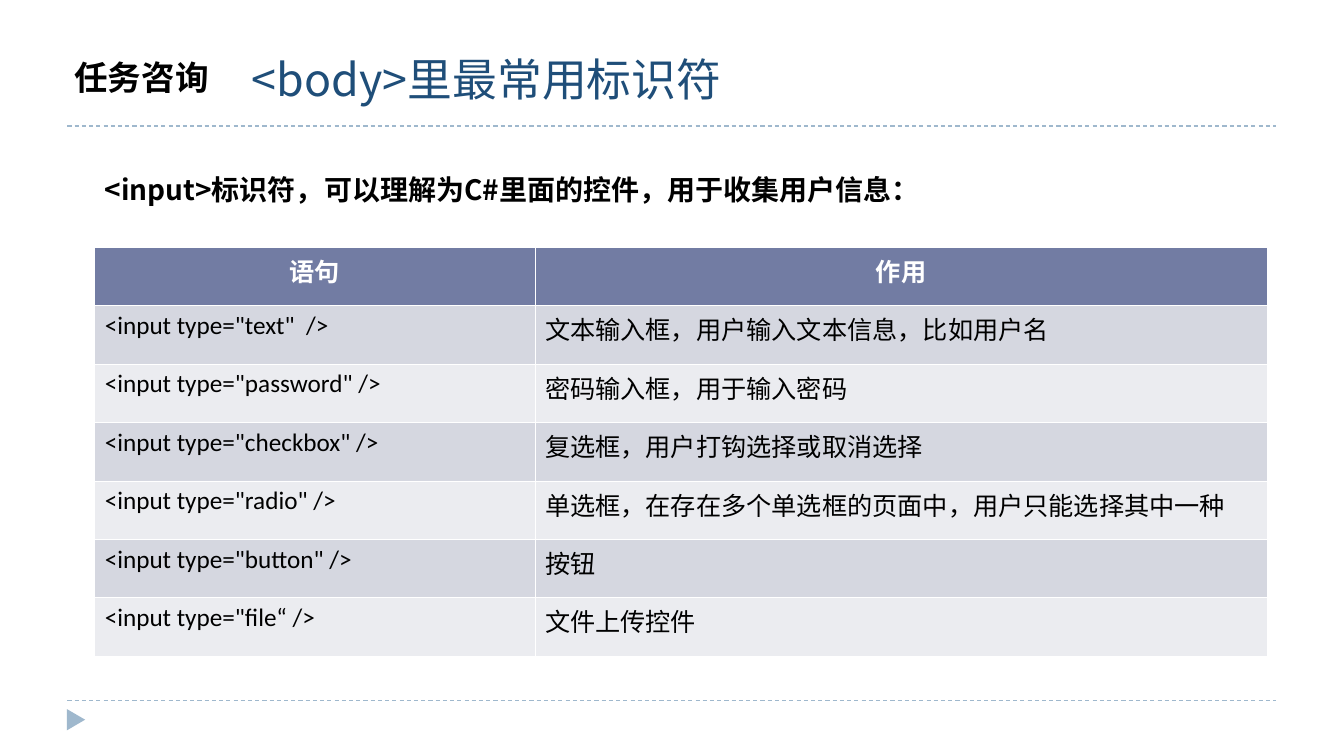
from dataclasses import dataclass

from lxml import etree
from pptx import Presentation
from pptx.dml.color import RGBColor
from pptx.enum.dml import MSO_LINE
from pptx.enum.shapes import MSO_CONNECTOR, MSO_SHAPE
from pptx.enum.text import MSO_ANCHOR, PP_ALIGN
from pptx.oxml.ns import qn
from pptx.slide import Slide
from pptx.table import _Cell
from pptx.text.text import TextFrame
from pptx.util import Inches, Pt

STRAIGHT = MSO_CONNECTOR.STRAIGHT
TRIANGLE = MSO_SHAPE.ISOSCELES_TRIANGLE
DASH = MSO_LINE.DASH
TOP = MSO_ANCHOR.TOP
LEFT, CENTER = PP_ALIGN.LEFT, PP_ALIGN.CENTER
NOTO_SC, NOTO_JP, CALIBRI = "Noto Sans CJK SC", "Noto Sans CJK JP", "Calibri"
BLACK, WHITE, NAVY, PALE_BLUE = "000000", "FFFFFF", "1F4E79", "9FB8CD"
HEADER_FILL, BAND_FILLS = "727CA3", ("D5D7E0", "EBECF0")
COLUMN_WIDTHS, ROW_HEIGHT = (4.37, 7.27), 0.58
THIN_BORDER, HEADER_BORDER = 0.45, 1.47
RULE_HEIGHTS = (1.25, 6.95)

TAG_ROWS = (
    ("语句", "作用"),
    ('<input type="text"  />', "文本输入框，用户输入文本信息，比如用户名"),
    ('<input type="password" />', "密码输入框，用于输入密码"),
    ('<input type="checkbox" />', "复选框，用户打钩选择或取消选择"),
    ('<input type="radio" />', "单选框，在存在多个单选框的页面中，用户只能选择其中一种"),
    ('<input type="button" />', "按钮"),
    ('<input type="file“ />', "文件上传控件"),
)


@dataclass(frozen=True)
class TextStyle:
    size: float
    latin: str
    east_asian: str
    color: str
    bold: bool = False
    align: PP_ALIGN = LEFT
    line_spacing: float = 1.0


@dataclass(frozen=True)
class Label:
    text: str
    left: float
    top: float
    width: float
    height: float
    style: TextStyle


TITLE = Label("<body>里最常用标识符", 2.4, 0.46, 9.33, 0.74,
              TextStyle(32, NOTO_SC, NOTO_SC, NAVY))
LABELS = (
    Label("任务咨询", 0.64, 0.59, 1.74, 0.46,
          TextStyle(24, NOTO_JP, NOTO_JP, BLACK, True, line_spacing=0.8)),
    Label("<input>标识符，可以理解为C#里面的控件，用于收集用户信息：", 0.94, 1.41, 11.46, 0.77,
          TextStyle(20, NOTO_SC, NOTO_SC, BLACK, True, line_spacing=1.75)),
)
HEADER_STYLE = TextStyle(18, CALIBRI, NOTO_SC, WHITE, True, CENTER)
BODY_STYLE = TextStyle(18, CALIBRI, NOTO_SC, BLACK)


def rgb(color: str) -> RGBColor:
    """Turn a hex string into a colour."""
    return RGBColor.from_string(color)


def write_text(frame: TextFrame, text: str, style: TextStyle) -> None:
    """Fill a text frame with one styled paragraph."""
    frame.text = text
    frame.word_wrap = True
    frame.vertical_anchor = TOP
    paragraph = frame.paragraphs[0]
    paragraph.alignment = style.align
    paragraph.line_spacing = style.line_spacing
    paragraph.space_before = Pt(0)
    for run in paragraph.runs:
        run.font.size = Pt(style.size)
        run.font.bold = style.bold
        run.font.color.rgb = rgb(style.color)
        run.font.name = style.latin
        east_asian = etree.SubElement(run.font._element, qn("a:ea"))
        east_asian.set("typeface", style.east_asian)


def add_label(slide: Slide, label: Label) -> None:
    """Add a text box for a label."""
    box = slide.shapes.add_textbox(Inches(label.left), Inches(label.top),
                                   Inches(label.width), Inches(label.height))
    write_text(box.text_frame, label.text, label.style)


def place_title(slide: Slide, label: Label) -> None:
    """Move and format the title placeholder."""
    title = slide.shapes.title
    title.left, title.top = Inches(label.left), Inches(label.top)
    title.width, title.height = Inches(label.width), Inches(label.height)
    write_text(title.text_frame, label.text, label.style)


def add_rule(slide: Slide, height: float) -> None:
    """Add a dashed rule across the slide."""
    rule = slide.shapes.add_connector(STRAIGHT, Inches(0.67), Inches(height),
                                      Inches(12.67), Inches(height))
    rule.line.color.rgb = rgb(PALE_BLUE)
    rule.line.width = Pt(0.75)
    rule.line.dash_style = DASH
    etree.SubElement(rule._element.spPr, qn("a:effectLst"))


def add_page_marker(slide: Slide) -> None:
    """Add the triangle in the footer that points right."""
    marker = slide.shapes.add_shape(TRIANGLE, Inches(0.65), Inches(7.05),
                                    Inches(0.21), Inches(0.18))
    marker.rotation = 90
    marker.shadow.inherit = False
    marker.fill.solid()
    marker.fill.fore_color.rgb = rgb(PALE_BLUE)
    marker.line.fill.background()


def set_borders(cell: _Cell, top: float, bottom: float) -> None:
    """Draw white borders round a cell, with widths in points."""
    properties = cell._tc.get_or_add_tcPr()
    widths = {"a:lnL": THIN_BORDER, "a:lnR": THIN_BORDER, "a:lnT": top, "a:lnB": bottom}
    for side, width in widths.items():
        border = etree.SubElement(properties, qn(side), w=str(Pt(width)))
        solid = etree.SubElement(border, qn("a:solidFill"))
        etree.SubElement(solid, qn("a:srgbClr"), val=WHITE)


def add_tag_table(slide: Slide) -> None:
    """Add the table of input tags and their uses."""
    table = slide.shapes.add_table(
        len(TAG_ROWS), len(COLUMN_WIDTHS), Inches(0.94), Inches(2.45),
        Inches(sum(COLUMN_WIDTHS)), Inches(ROW_HEIGHT * len(TAG_ROWS))).table
    for column, width in zip(table.columns, COLUMN_WIDTHS):
        column.width = Inches(width)
    for row_index, row in enumerate(TAG_ROWS):
        is_header = row_index == 0
        fill = HEADER_FILL if is_header else BAND_FILLS[(row_index - 1) % 2]
        for column_index, text in enumerate(row):
            cell = table.cell(row_index, column_index)
            write_text(cell.text_frame, text, HEADER_STYLE if is_header else BODY_STYLE)
            set_borders(cell, HEADER_BORDER if row_index == 1 else THIN_BORDER,
                        HEADER_BORDER if is_header else THIN_BORDER)
            cell.fill.solid()
            cell.fill.fore_color.rgb = rgb(fill)


def main() -> None:
    """Build the slide and save it."""
    deck = Presentation()
    deck.slide_width, deck.slide_height = Inches(13.34), Inches(7.5)
    slide = deck.slides.add_slide(deck.slide_layouts[5])
    for height in RULE_HEIGHTS:
        add_rule(slide, height)
    add_page_marker(slide)
    place_title(slide, TITLE)
    for label in LABELS:
        add_label(slide, label)
    add_tag_table(slide)
    deck.save("out.pptx")


if __name__ == "__main__":
    main()
